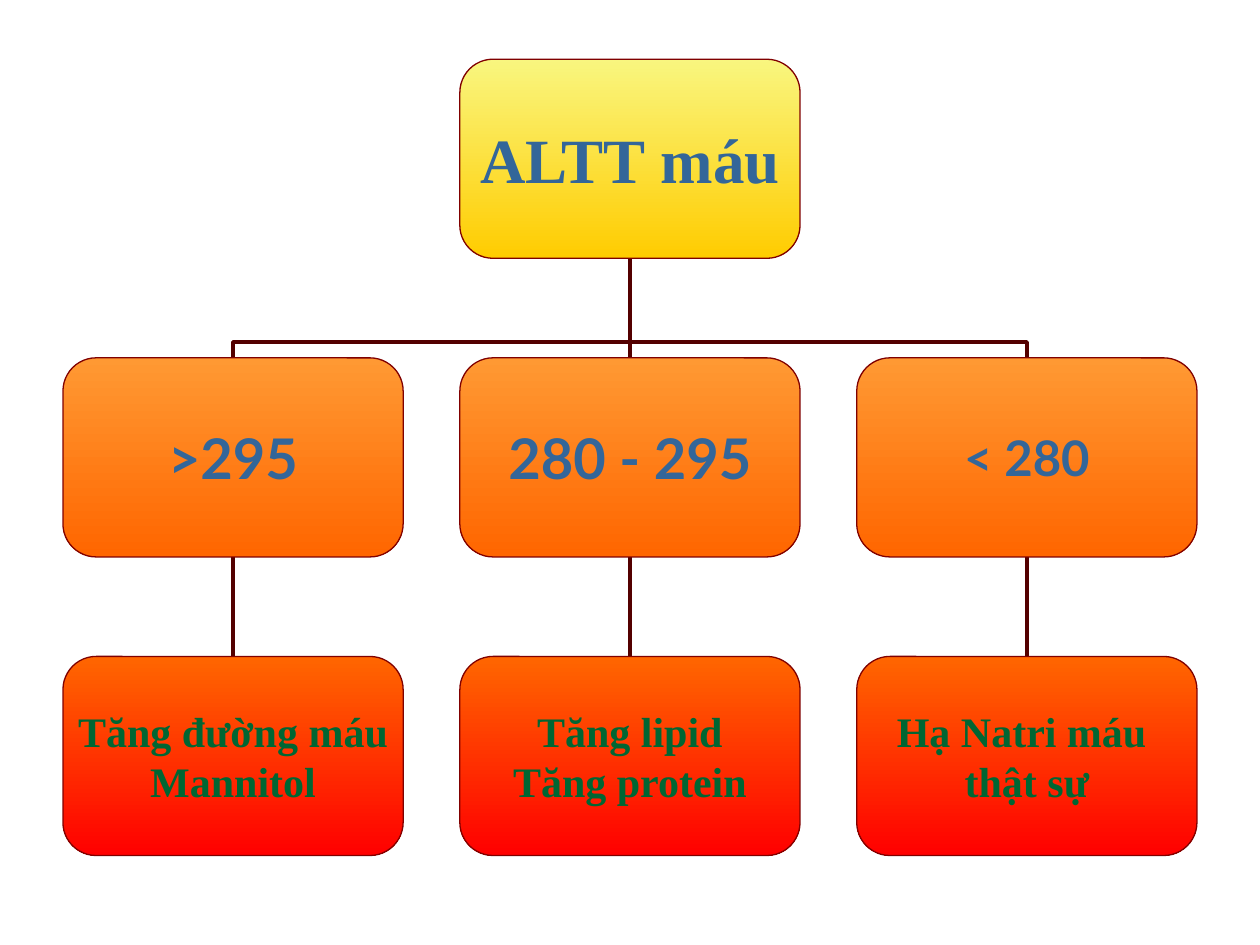
from dataclasses import dataclass

from lxml import etree
from pptx import Presentation
from pptx.dml.color import RGBColor
from pptx.enum.shapes import MSO_CONNECTOR, MSO_SHAPE
from pptx.enum.text import MSO_ANCHOR, PP_ALIGN
from pptx.oxml.ns import qn
from pptx.util import Inches, Pt

STRAIGHT, ELBOW = MSO_CONNECTOR.STRAIGHT, MSO_CONNECTOR.ELBOW
ROUNDED = MSO_SHAPE.ROUNDED_RECTANGLE
MIDDLE, CENTER = MSO_ANCHOR.MIDDLE, PP_ALIGN.CENTER

BOX_WIDTH, BOX_HEIGHT = 2.7, 1.58
COLUMN_GAP, ROW_GAP = 0.45, 0.79
LEFT, TOP = 0.5, 0.47
BEND = 15800


@dataclass(frozen=True)
class Level:
    fill: tuple
    text: str
    font: str


@dataclass(frozen=True)
class Theme:
    root = Level(("F9F67F", "FFCC00"), "336699", "Times New Roman")
    ranges = Level(("FF9933", "FF6600"), "336699", "Lato")
    causes = Level(("FF6600", "FF0000"), "006633", "Times New Roman")
    outline = "800000"
    link = "540000"
    outline_width = 0.75
    link_width = 2.25
    root_size = 36
    range_size = 32
    small_range_size = 28
    cause_size = 24


THEME = Theme()


def column_left(column):
    """Return the left edge of a column in inches."""
    return LEFT + column * (BOX_WIDTH + COLUMN_GAP)


def column_center(column):
    """Return the centre line of a column in inches."""
    return column_left(column) + BOX_WIDTH / 2


def row_top(row):
    """Return the top edge of a row in inches."""
    return TOP + row * (BOX_HEIGHT + ROW_GAP)


def add_link(slide, kind, start, end):
    """Add a shadowless connector between two points."""
    points = [Inches(value) for value in (*start, *end)]
    connector = slide.shapes.add_connector(kind, *points)
    connector.line.color.rgb = RGBColor.from_string(THEME.link)
    connector.line.width = Pt(THEME.link_width)
    etree.SubElement(connector._element.spPr, qn("a:effectLst"))
    return connector


def add_straight_link(slide, column, row):
    """Link a box to the one directly above it."""
    x, y = column_center(column), row_top(row)
    add_link(slide, STRAIGHT, (x, y), (x, y - ROW_GAP))


def add_elbow_link(slide, column, parent_column, row):
    """Link a box to a parent in another column with a rotated elbow."""
    child_x, parent_x = column_center(column), column_center(parent_column)
    middle_x, middle_y = (child_x + parent_x) / 2, row_top(row) - ROW_GAP / 2
    side = 1 if child_x < parent_x else -1
    half_depth, half_span = side * ROW_GAP / 2, abs(child_x - parent_x) / 2
    connector = add_link(
        slide, ELBOW,
        (middle_x + half_depth, middle_y + half_span),
        (middle_x - half_depth, middle_y - half_span),
    )
    properties = connector._element.spPr
    angle = 90 if side == 1 else 270
    properties.find(qn("a:xfrm")).set("rot", str(angle * 60000))
    geometry = properties.find(qn("a:prstGeom"))
    adjustments = geometry.find(qn("a:avLst"))
    if adjustments is None:
        adjustments = etree.SubElement(geometry, qn("a:avLst"))
    etree.SubElement(adjustments, qn("a:gd"), name="adj1", fmla=f"val {BEND}")


def add_box(slide, column, row, level, lines, size):
    """Add a rounded gradient box with centred bold lines."""
    shape = slide.shapes.add_shape(
        ROUNDED, Inches(column_left(column)), Inches(row_top(row)),
        Inches(BOX_WIDTH), Inches(BOX_HEIGHT),
    )
    shape.shadow.inherit = False
    shape.fill.gradient()
    shape.fill.gradient_angle = 270
    for stop, color, position in zip(shape.fill.gradient_stops, level.fill, (0, 1)):
        stop.color.rgb = RGBColor.from_string(color)
        stop.position = position
    shape.line.color.rgb = RGBColor.from_string(THEME.outline)
    shape.line.width = Pt(THEME.outline_width)
    frame = shape.text_frame
    frame.margin_left = frame.margin_right = 0
    frame.margin_top = frame.margin_bottom = 0
    frame.vertical_anchor = MIDDLE
    frame.word_wrap = False
    for index, line in enumerate(lines):
        paragraph = frame.add_paragraph() if index else frame.paragraphs[0]
        paragraph.alignment = CENTER
        run = paragraph.add_run()
        run.text = line
        run.font.name = level.font
        run.font.size = Pt(size)
        run.font.bold = True
        run.font.color.rgb = RGBColor.from_string(level.text)


def main():
    """Build the blood osmolality chart and save it."""
    presentation = Presentation()
    presentation.slide_width, presentation.slide_height = Inches(10), Inches(7.5)
    slide = presentation.slides.add_slide(presentation.slide_layouts[6])
    branches = [
        (">295", THEME.range_size, ("Tăng đường máu", "Mannitol")),
        ("280 - 295", THEME.range_size, ("Tăng lipid", "Tăng protein")),
        ("< 280", THEME.small_range_size, ("Hạ Natri máu ", "thật sự")),
    ]
    root_column = 1
    for column in range(len(branches)):
        add_straight_link(slide, column, 2)
        if column == root_column:
            add_straight_link(slide, column, 1)
        else:
            add_elbow_link(slide, column, root_column, 1)
    add_box(slide, root_column, 0, THEME.root, ["ALTT máu"], THEME.root_size)
    for column, (label, size, causes) in enumerate(branches):
        add_box(slide, column, 1, THEME.ranges, [label], size)
        add_box(slide, column, 2, THEME.causes, causes, THEME.cause_size)
    presentation.save("out.pptx")


if __name__ == "__main__":
    main()
